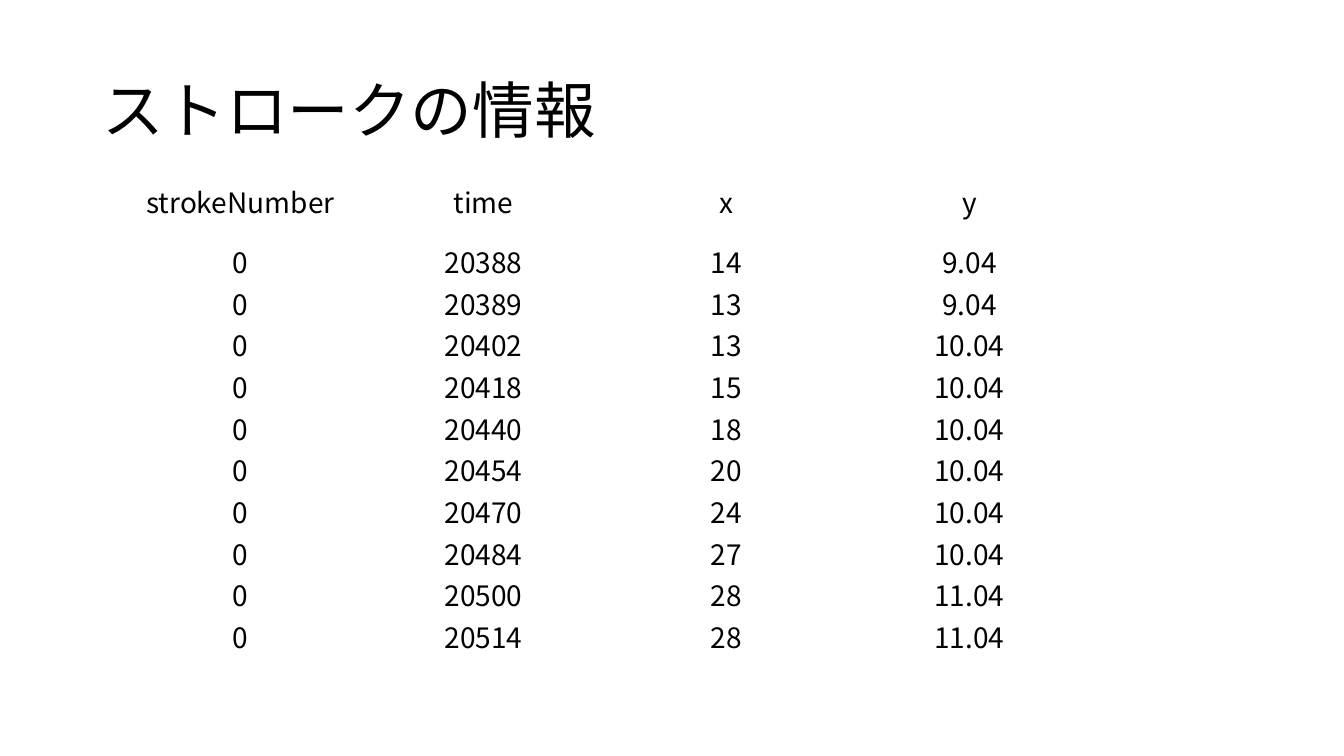
from pptx import Presentation
from pptx.dml.color import RGBColor
from pptx.enum.text import MSO_ANCHOR, MSO_AUTO_SIZE, PP_ALIGN
from pptx.oxml.ns import qn
from pptx.util import Inches, Pt

LEFT, CENTER = PP_ALIGN.LEFT, PP_ALIGN.CENTER
MIDDLE = MSO_ANCHOR.MIDDLE
NO_AUTOFIT = MSO_AUTO_SIZE.NONE
TITLE_ONLY = 5
PLAIN_TABLE_STYLE = "{2D5ABB26-0587-4C30-8999-92F81FD0307C}"
COLORS = {"text": "000000"}
TITLE_FONT, TABLE_FONT = "Calibri", "Noto Sans CJK JP"
COLUMN_WIDTH, HEADER_HEIGHT, ROW_HEIGHT = 2.41, 0.78, 0.4
CELL_INSET = Inches(0.01)

HEADERS = ("strokeNumber", "time", "x", "y")
STROKE_POINTS = (
    (0, 20388, 14, 9.04),
    (0, 20389, 13, 9.04),
    (0, 20402, 13, 10.04),
    (0, 20418, 15, 10.04),
    (0, 20440, 18, 10.04),
    (0, 20454, 20, 10.04),
    (0, 20470, 24, 10.04),
    (0, 20484, 27, 10.04),
    (0, 20500, 28, 11.04),
    (0, 20514, 28, 11.04),
)


def format_paragraph(para, font_name, size, alignment):
    """Set the font, size, colour and alignment of a paragraph."""
    para.alignment = alignment
    para.font.name = font_name
    para.font.size = Pt(size)
    para.font.color.rgb = RGBColor.from_string(COLORS["text"])


def set_title(page, text):
    """Place and format the slide title."""
    title = page.shapes.title
    title.left, title.top = Inches(0.92), Inches(0.4)
    title.width, title.height = Inches(11.5), Inches(1.45)
    frame = title.text_frame
    frame.text = text
    frame.auto_size = NO_AUTOFIT
    frame.vertical_anchor = MIDDLE
    para = frame.paragraphs[0]
    para.line_spacing = 0.9
    format_paragraph(para, TITLE_FONT, 44, LEFT)


def fill_cell(cell, value):
    """Write one centred value into an unfilled cell."""
    cell.text = str(value)
    cell.fill.background()
    cell.vertical_anchor = MIDDLE
    cell.margin_left = cell.margin_top = cell.margin_right = CELL_INSET
    cell.margin_bottom = 0
    format_paragraph(cell.text_frame.paragraphs[0], TABLE_FONT, 20, CENTER)


def add_plain_table(page, left, top, records):
    """Add a borderless table whose first record is a taller header."""
    row_count, column_count = len(records), len(records[0])
    height = HEADER_HEIGHT + ROW_HEIGHT * (row_count - 1)
    holder = page.shapes.add_table(
        row_count, column_count, Inches(left), Inches(top),
        Inches(COLUMN_WIDTH * column_count), Inches(height))
    table = holder.table
    table.first_row = table.horz_banding = False
    next(holder.element.iter(qn("a:tableStyleId"))).text = PLAIN_TABLE_STYLE
    for row_index, (row, record) in enumerate(zip(table.rows, records)):
        row.height = Inches(ROW_HEIGHT if row_index else HEADER_HEIGHT)
        for cell, value in zip(row.cells, record):
            fill_cell(cell, value)


def main():
    """Build and save the stroke information slide."""
    deck = Presentation()
    deck.slide_width, deck.slide_height = Inches(13.33), Inches(7.5)
    page = deck.slides.add_slide(deck.slide_layouts[TITLE_ONLY])
    set_title(page, "ストロークの情報")
    add_plain_table(page, 1.18, 1.6, (HEADERS, *STROKE_POINTS))
    deck.save("out.pptx")


main()
